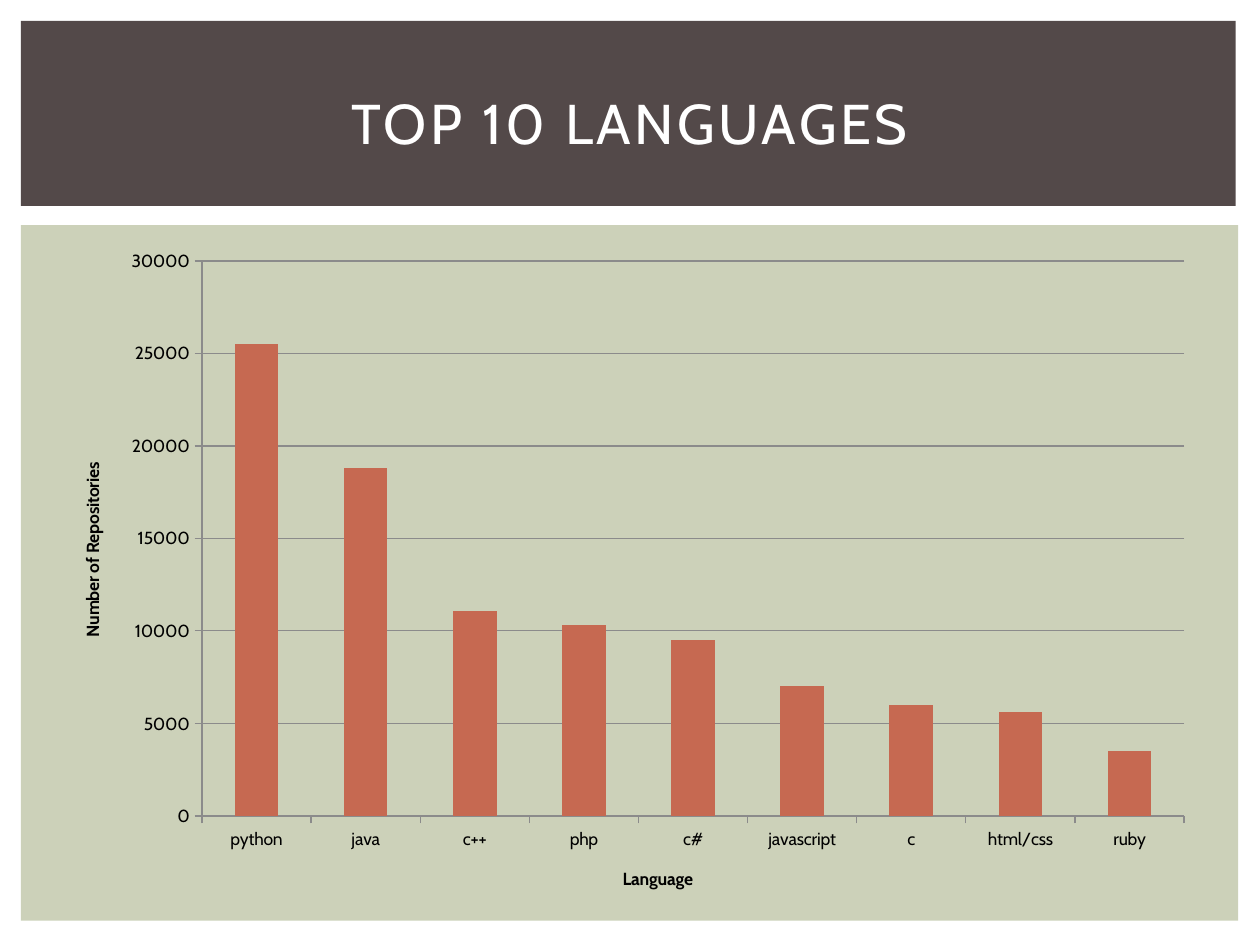
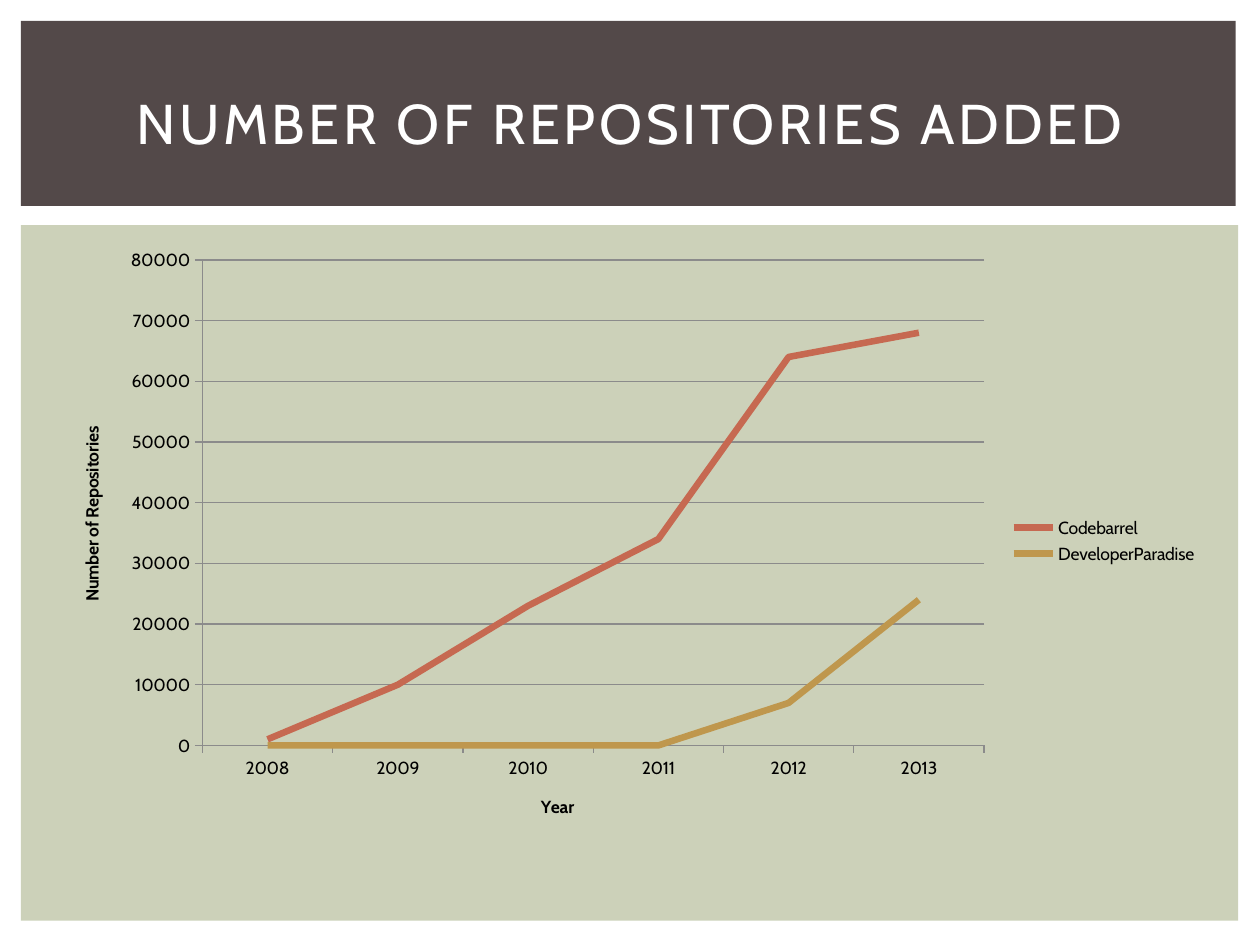
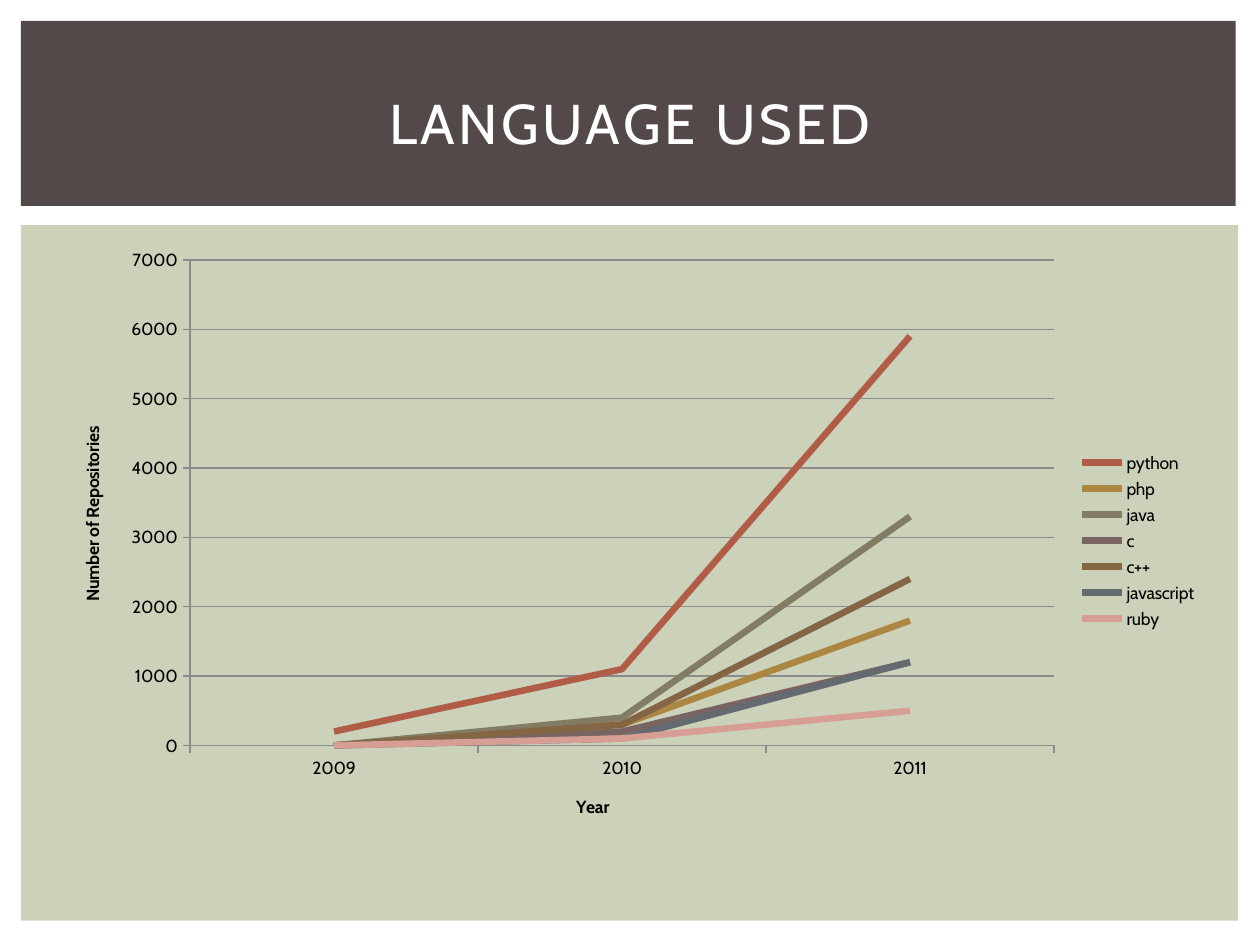
from collections import namedtuple

from pptx import Presentation
from pptx.chart.data import CategoryChartData
from pptx.dml.color import RGBColor
from pptx.enum.chart import XL_CHART_TYPE as ChartType
from pptx.enum.chart import XL_LEGEND_POSITION as LegendPosition
from pptx.enum.chart import XL_TICK_MARK as TickMark
from pptx.enum.shapes import MSO_SHAPE as Preset
from pptx.enum.text import MSO_ANCHOR as Anchor
from pptx.enum.text import PP_ALIGN as Align
from pptx.oxml import parse_xml
from pptx.oxml.ns import nsdecls
from pptx.util import Cm, Pt

Box = namedtuple("Box", "left top width height")

# Colours
WHITE = RGBColor(0xFF, 0xFF, 0xFF)
BLACK = RGBColor(0x00, 0x00, 0x00)
SAGE = RGBColor(0xCC, 0xD1, 0xB9)
UMBER = RGBColor(0x53, 0x49, 0x49)
GRID_GRAY = RGBColor(0x8B, 0x8B, 0x8B)
BRICK = RGBColor(0xC6, 0x69, 0x51)
GOLD = RGBColor(0xBF, 0x97, 0x4D)
DARK_BRICK = RGBColor(0xB0, 0x5C, 0x47)
DARK_GOLD = RGBColor(0xAC, 0x87, 0x42)
OLIVE = RGBColor(0x82, 0x7C, 0x64)
MAUVE = RGBColor(0x78, 0x64, 0x60)
BROWN = RGBColor(0x84, 0x66, 0x45)
SLATE = RGBColor(0x63, 0x6A, 0x70)
PINK = RGBColor(0xD6, 0x9E, 0x94)

# Shared boxes and text formats
PANEL_BOX = Box(Cm(0.42), Cm(4.54), Cm(24.54), Cm(14.02))
BAND_BOX = Box(Cm(0.42), Cm(0.42), Cm(24.49), Cm(3.73))
TITLE_BOX = Box(Cm(1.06), Cm(1.01), Cm(23.29), Cm(2.92))
TALL_CHART_BOX = Box(Cm(1.06), Cm(4.78), Cm(23.27), Cm(13.67))
CHART_BOX = Box(Cm(1.06), Cm(4.78), Cm(23.34), Cm(12.24))

TITLE_FONT = {"name": "Cabin", "size": Pt(32), "bold": False}
CHART_FONT = {"name": "Cabin", "size": Pt(10), "bold": False}
AXIS_TITLE_FONT = {**CHART_FONT, "bold": True}

# Chart contents; each plot box is relative to its chart box
CHART_SLIDES = [
    {
        "title": "TOP 10 LANGUAGES",
        "kind": ChartType.COLUMN_CLUSTERED,
        "box": TALL_CHART_BOX,
        "plot": Box(Cm(3.01), Cm(0.48), Cm(19.8), Cm(11.19)),
        "axis_title": "Language",
        "scale": (30000, 5000),
        "categories": ["python", "java", "c++", "php", "c#", "javascript",
                       "c", "html/css", "ruby"],
        "series": [
            ("Series 1", BRICK,
             [25500, 18800, 11100, 10300, 9500, 7000, 6000, 5600, 3500]),
        ],
    },
    {
        "title": "NUMBER OF REPOSITORIES ADDED",
        "kind": ChartType.LINE,
        "box": CHART_BOX,
        "plot": Box(Cm(3.02), Cm(0.46), Cm(15.76), Cm(9.79)),
        "axis_title": "Year",
        "scale": (80000, 10000),
        "categories": ["2008", "2009", "2010", "2011", "2012", "2013"],
        "series": [
            ("Codebarrel", BRICK, [1000, 10000, 23000, 34000, 64000, 68000]),
            ("DeveloperParadise", GOLD, [0, 0, 0, 0, 7000, 24000]),
        ],
    },
    {
        "title": "LANGUAGE USED",
        "kind": ChartType.LINE,
        "box": CHART_BOX,
        "plot": Box(Cm(2.77), Cm(0.46), Cm(17.42), Cm(9.79)),
        "axis_title": "Year",
        "scale": (7000, 1000),
        "categories": ["2009", "2010", "2011"],
        "series": [
            ("python", DARK_BRICK, [200, 1100, 5900]),
            ("php", DARK_GOLD, [0, 300, 1800]),
            ("java", OLIVE, [0, 400, 3300]),
            ("c", MAUVE, [0, 200, 1200]),
            ("c++", BROWN, [0, 300, 2400]),
            ("javascript", SLATE, [0, 100, 1200]),
            ("ruby", PINK, [0, 100, 500]),
        ],
    },
]


def apply_format(target, values):
    for name, value in values.items():
        setattr(target, name, value)


def format_font(font, values, color):
    apply_format(font, values)
    font.color.rgb = color


def format_line(line, color, width):
    line.color.rgb = color
    line.width = width


def add_block(slide, layout, box, color):
    """Draw a plain block and hand it to the layout, so all slides share it."""
    block = slide.shapes.add_shape(Preset.RECTANGLE, *box)
    block.shadow.inherit = False
    block.fill.solid()
    block.fill.fore_color.rgb = color
    block.line.fill.background()
    layout.shapes._spTree.append(block._element)


def add_title(slide, box, text):
    title = slide.shapes.title
    apply_format(title, box._asdict())
    frame = title.text_frame
    apply_format(frame, {"word_wrap": True, "vertical_anchor": Anchor.MIDDLE})
    paragraph = frame.paragraphs[0]
    paragraph.alignment = Align.CENTER
    run = paragraph.add_run()
    run.text = text
    format_font(run.font, TITLE_FONT, WHITE)
    run._r.get_or_add_rPr().set("spc", "200")


def place_plot(chart, chart_box, plot_box):
    """Fix the inner plot area inside the chart box."""
    shares = (plot_box.left / chart_box.width,
              plot_box.top / chart_box.height,
              plot_box.width / chart_box.width,
              plot_box.height / chart_box.height)
    parts = "".join(f'<c:{tag} val="{share:.4f}"/>'
                    for tag, share in zip("xywh", shares))
    layout = parse_xml(
        f'<c:layout {nsdecls("c")}><c:manualLayout>'
        '<c:layoutTarget val="inner"/>'
        '<c:xMode val="edge"/><c:yMode val="edge"/>'
        f'{parts}</c:manualLayout></c:layout>')
    plot_area = chart._chartSpace.chart.plotArea
    for old_layout in plot_area.findall(layout.tag):
        plot_area.remove(old_layout)
    plot_area.insert(0, layout)


def format_axis(axis, text):
    apply_format(axis, {"major_tick_mark": TickMark.OUTSIDE,
                        "minor_tick_mark": TickMark.NONE})
    format_font(axis.tick_labels.font, CHART_FONT, BLACK)
    format_line(axis.format.line, GRID_GRAY, Pt(0.75))
    paragraph = axis.axis_title.text_frame.paragraphs[0]
    run = paragraph.add_run()
    run.text = text
    format_font(run.font, AXIS_TITLE_FONT, BLACK)


def add_chart(slide, box, content):
    data = CategoryChartData()
    data.categories = content["categories"]
    for name, _, values in content["series"]:
        data.add_series(name, values)
    kind = content["kind"]
    chart = slide.shapes.add_chart(kind, *box, data).chart
    format_font(chart.font, CHART_FONT, BLACK)
    chart.has_title = False
    place_plot(chart, box, content["plot"])

    # Axes
    format_axis(chart.category_axis, content["axis_title"])
    chart.category_axis.has_major_gridlines = False
    value_axis = chart.value_axis
    format_axis(value_axis, "Number of Repositories")
    maximum, step = content["scale"]
    apply_format(value_axis, {"minimum_scale": 0, "maximum_scale": maximum,
                              "major_unit": step, "has_major_gridlines": True})
    format_line(value_axis.major_gridlines.format.line, GRID_GRAY, Pt(0.75))

    # Series
    plot = chart.plots[0]
    plot.vary_by_categories = False
    is_line = kind == ChartType.LINE
    for series, (_, color, _) in zip(plot.series, content["series"]):
        if is_line:
            series.smooth = False
            format_line(series.format.line, color, Pt(3.75))
        else:
            series.format.fill.solid()
            series.format.fill.fore_color.rgb = color
    if not is_line:
        plot.gap_width = 150

    # Legend
    chart.has_legend = is_line
    if is_line:
        apply_format(chart.legend, {"position": LegendPosition.RIGHT,
                                    "include_in_layout": False})
        format_font(chart.legend.font, CHART_FONT, BLACK)


def add_chart_slide(presentation, layout, content):
    slide = presentation.slides.add_slide(layout)
    add_title(slide, TITLE_BOX, content["title"])
    add_chart(slide, content["box"], content)
    return slide


def main():
    presentation = Presentation()
    apply_format(presentation, {"slide_width": Cm(25.4),
                                "slide_height": Cm(19.05)})
    layout = presentation.slide_layouts.get_by_name("Title Only")
    slides = [add_chart_slide(presentation, layout, content)
              for content in CHART_SLIDES]
    # Background panel and title band
    for box, color in ((PANEL_BOX, SAGE), (BAND_BOX, UMBER)):
        add_block(slides[0], layout, box, color)
    presentation.save("out.pptx")


if __name__ == "__main__":
    main()
